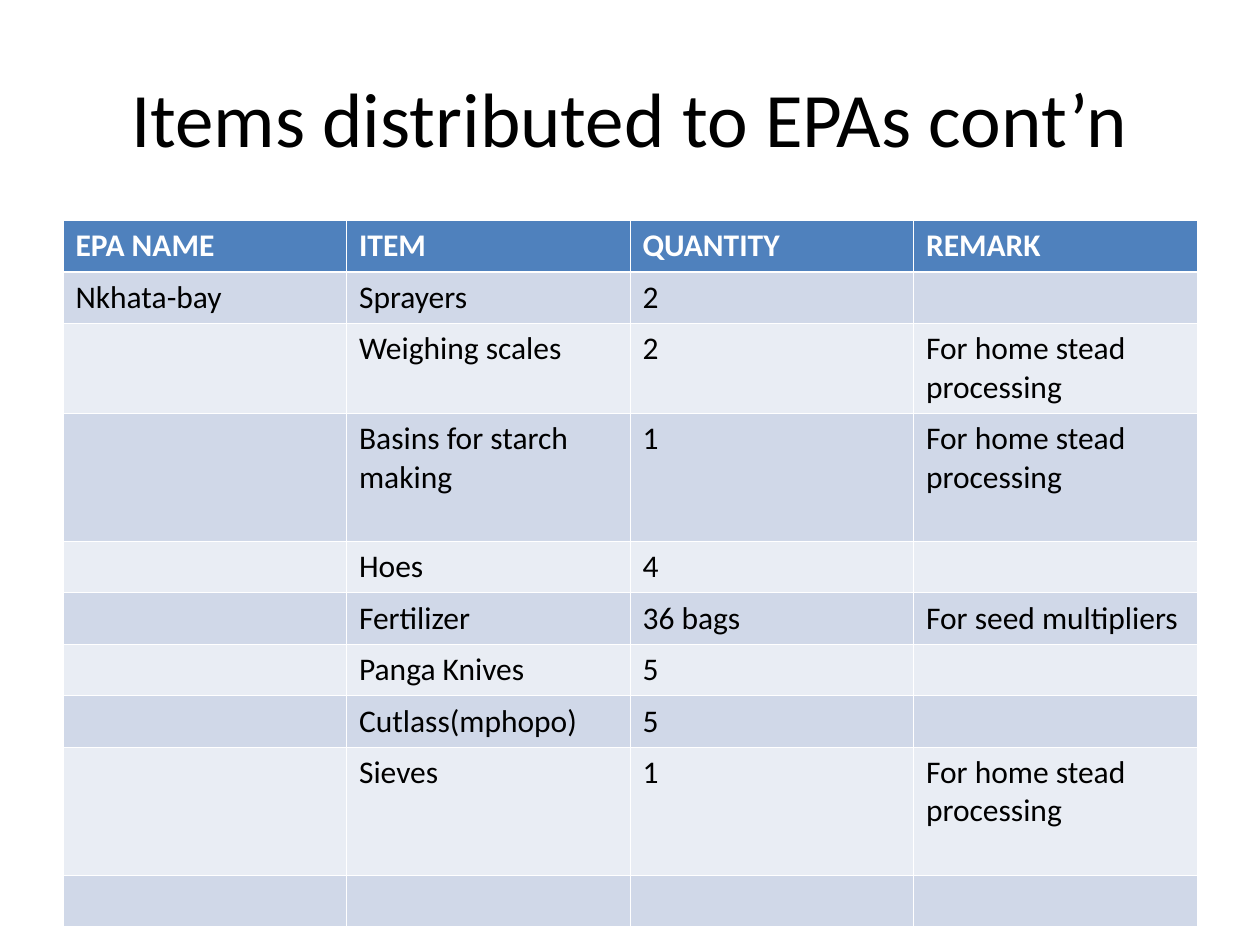
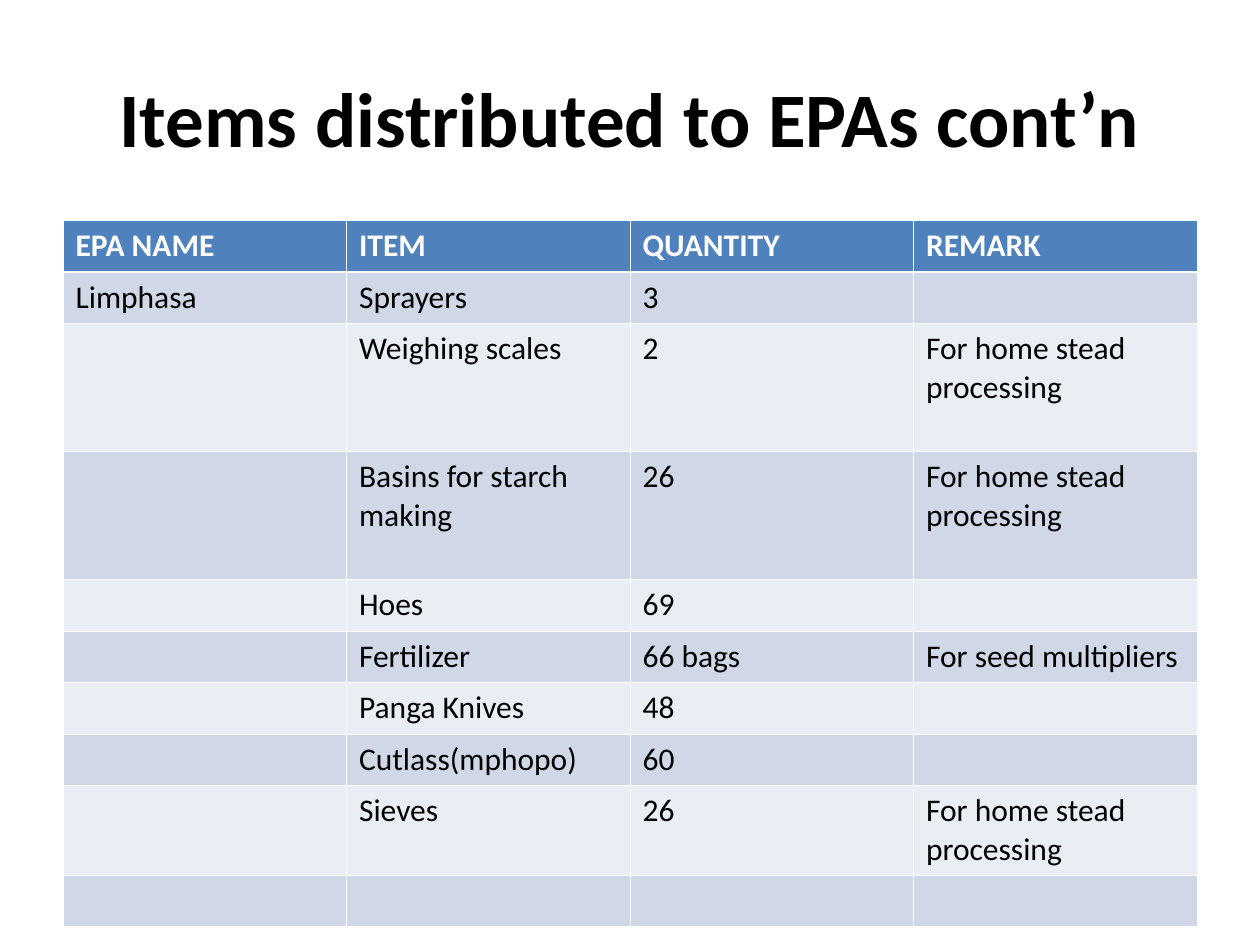
from lxml import etree
from pptx import Presentation, util as u
from pptx.dml.color import RGBColor
from pptx.enum import text
from pptx.oxml.ns import qn

COLORS = {"ink": "000000", "paper": "FFFFFF", "header": "4F81BD",
          "band_dark": "D0D8E8", "band_light": "E9EDF4"}
FONT = "Calibri"
TITLE = "Items distributed to EPAs cont’n"
HEADERS = ["EPA NAME", "ITEM", "QUANTITY", "REMARK"]
HOME, SEED = "For home stead processing", "For seed multipliers"
ITEMS = [("Sprayers", ""), ("Weighing scales", HOME), ("Basins for starch making", HOME),
         ("Hoes", ""), ("Fertilizer", SEED), ("Panga Knives", ""),
         ("Cutlass(mphopo)", ""), ("Sieves", HOME)]
LEFT, WIDTH, TABLE_TOP = 36, 648, 126
ONE_LINE, TWO_LINES, THREE_LINES = 29.4, 51.4, 73.2
THIN, THICK = 0.45, 1.47


def rgb(name):
    """Return the named colour."""
    return RGBColor.from_string(COLORS[name])


def format_runs(p, size, color, bold):
    """Format every run of a paragraph."""
    for r in p.runs:
        r.font.name = FONT
        r.font.size = u.Pt(size)
        r.font.bold = bold
        r.font.color.rgb = rgb(color)


def add_title(s, bold):
    """Add the centred slide title."""
    sp = s.shapes.add_textbox(u.Pt(LEFT), u.Pt(21.6), u.Pt(WIDTH), u.Pt(90))
    tf = sp.text_frame
    tf.word_wrap = True
    tf.vertical_anchor = text.MSO_ANCHOR.MIDDLE
    p = tf.paragraphs[0]
    p.text = TITLE
    p.alignment = text.PP_ALIGN.CENTER
    format_runs(p, 44, "ink", bold)


def set_borders(cell, top, bottom):
    """Draw white borders with the given top and bottom widths."""
    tc_pr = cell._tc.get_or_add_tcPr()
    for side, width in (("L", THIN), ("R", THIN), ("T", top), ("B", bottom)):
        ln = etree.SubElement(tc_pr, qn(f"a:ln{side}"), w=str(u.Pt(width)))
        fill = etree.SubElement(ln, qn("a:solidFill"))
        etree.SubElement(fill, qn("a:srgbClr"), val=COLORS["paper"])


def style_cell(cell, row, value):
    """Fill, border and label one cell according to its row."""
    header = row == 0
    set_borders(cell, THICK if row == 1 else THIN, THICK if header else THIN)
    cell.fill.solid()
    band = "band_dark" if row % 2 else "band_light"
    cell.fill.fore_color.rgb = rgb("header" if header else band)
    if value:
        cell.text_frame.text = value
        format_runs(cell.text_frame.paragraphs[0], 18,
                    "paper" if header else "ink", header)


def add_items_table(s, epa, quantities, tall_rows):
    """Add the table of items that one EPA received."""
    rows = [HEADERS]
    for i, ((item, remark), quantity) in enumerate(zip(ITEMS, quantities)):
        rows.append(["" if i else epa, item, quantity, remark])
    rows.append([""] * len(HEADERS))
    heights = [tall_rows.get(i, ONE_LINE) for i in range(len(rows))]
    table = s.shapes.add_table(len(rows), len(HEADERS), u.Pt(LEFT), u.Pt(TABLE_TOP),
                               u.Pt(WIDTH), u.Pt(sum(heights))).table
    for column in table.columns:
        column.width = u.Pt(WIDTH / len(HEADERS))
    for i, (values, height) in enumerate(zip(rows, heights)):
        table.rows[i].height = u.Pt(height)
        for j, value in enumerate(values):
            style_cell(table.cell(i, j), i, value)


def add_epa_slide(prs, epa, quantities, tall_rows, bold_title):
    """Add a slide with the title and the table of one EPA."""
    s = prs.slides.add_slide(prs.slide_layouts[6])
    add_title(s, bold_title)
    add_items_table(s, epa, quantities, tall_rows)


def main():
    """Build and save the presentation."""
    prs = Presentation()
    prs.slide_width, prs.slide_height = u.Pt(720), u.Pt(540)
    add_epa_slide(prs, "Nkhata-bay", ["2", "2", "1", "4", "36 bags", "5", "5", "1"],
                  {2: TWO_LINES, 3: THREE_LINES, 8: THREE_LINES}, False)
    add_epa_slide(prs, "Limphasa", ["3", "2", "26", "69", "66 bags", "48", "60", "26"],
                  {2: THREE_LINES, 3: THREE_LINES, 8: TWO_LINES}, True)
    prs.save("out.pptx")


if __name__ == "__main__":
    main()
